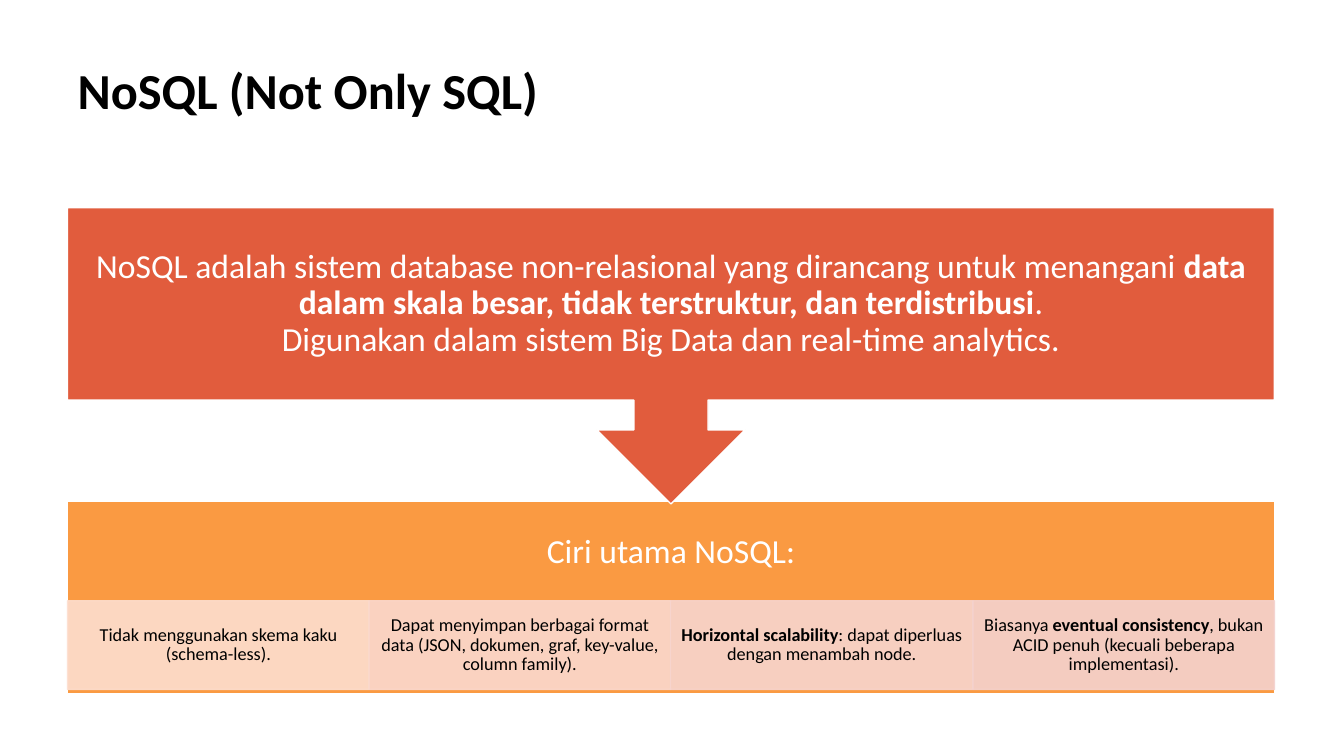
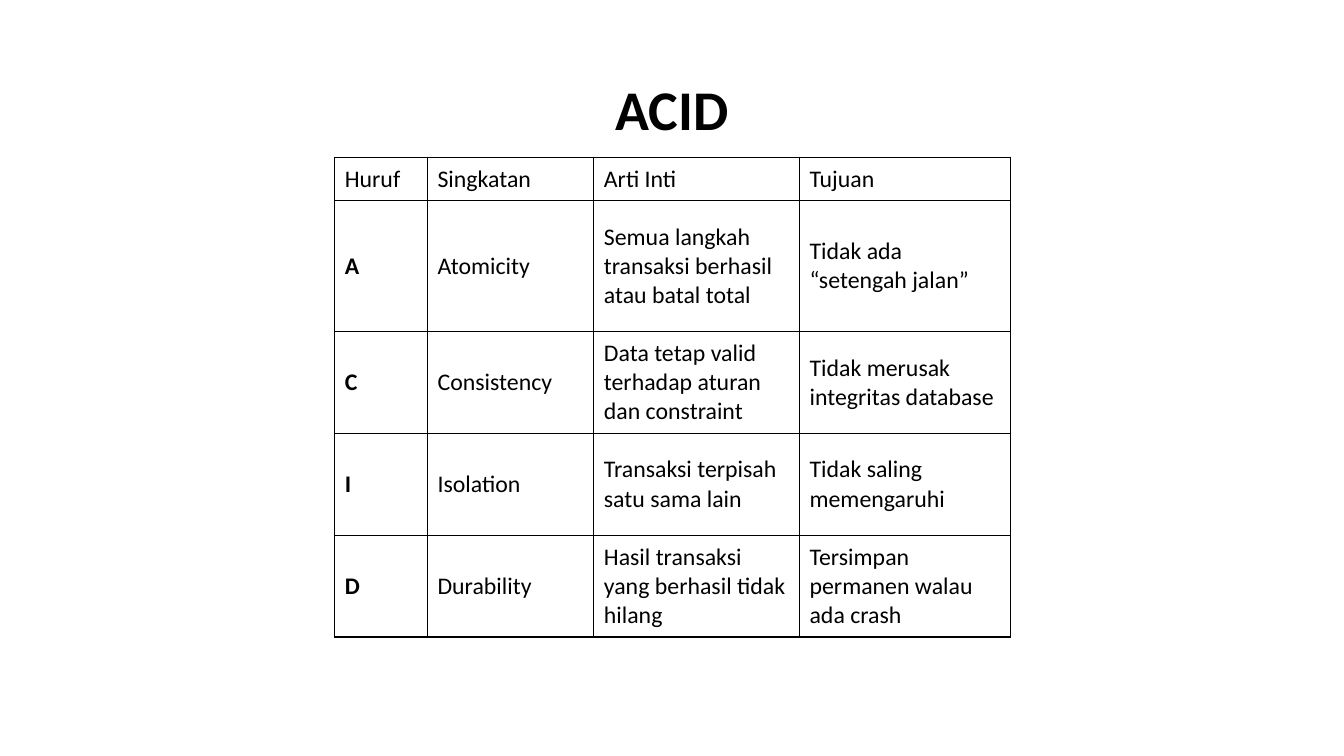
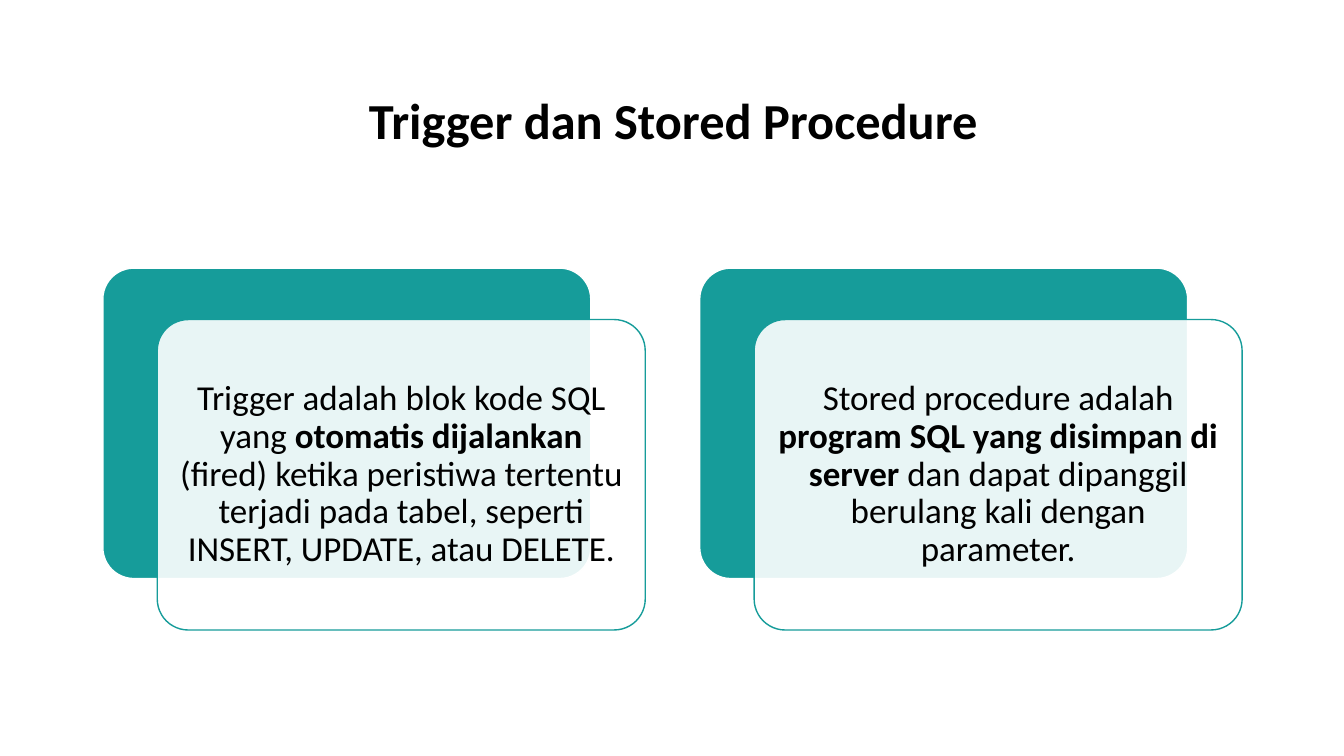
from dataclasses import dataclass
from itertools import accumulate

from lxml.etree import SubElement
from pptx import Presentation
from pptx.dml.color import RGBColor
from pptx.enum.shapes import MSO_SHAPE
from pptx.enum.text import MSO_ANCHOR, MSO_AUTO_SIZE, PP_ALIGN
from pptx.oxml.ns import qn
from pptx.util import Emu, Pt


@dataclass(frozen=True)
class Theme:
    font: str = "Calibri"
    ink: str = "000000"
    paper: str = "FFFFFF"
    red: str = "E15C3D"
    orange: str = "FA9A42"
    teal: str = "169C9A"
    tints: tuple = ("FDDECF", "FAD9CE", "F7D5CE", "F4D2CE")
    title: int = 36
    big_title: int = 40
    card: int = 25
    lead: int = 24
    table: int = 17
    small: int = 13


T = Theme()
LEFT, WIDTH = 67, 1197  # content column, 100 px to the inch

FEATURES = (
    "Tidak menggunakan skema kaku (schema-less).",
    "Dapat menyimpan berbagai format data (JSON, dokumen, graf, key-value, column family).",
    "**Horizontal scalability**: dapat diperluas dengan menambah node.",
    "Biasanya **eventual consistency**, bukan ACID penuh (kecuali beberapa implementasi).",
)
ACID_ROWS = (
    ("Huruf", "Singkatan", "Arti Inti", "Tujuan"),
    ("**A**", "Atomicity", "Semua langkah transaksi berhasil atau batal total",
     "Tidak ada “setengah jalan”"),
    ("**C**", "Consistency", "Data tetap valid terhadap aturan dan constraint",
     "Tidak merusak integritas database"),
    ("**I**", "Isolation", "Transaksi terpisah satu sama lain",
     "Tidak saling memengaruhi"),
    ("**D**", "Durability", "Hasil transaksi yang berhasil tidak hilang",
     "Tersimpan permanen walau ada crash"),
)
CARDS = (
    "Trigger adalah blok kode SQL yang **otomatis dijalankan** (fired) ketika "
    "peristiwa tertentu terjadi pada tabel, seperti INSERT, UPDATE, atau DELETE.",
    "Stored procedure adalah **program SQL yang disimpan di server** dan dapat "
    "dipanggil berulang kali dengan parameter.",
)


def px(n):
    return Emu(n * 9144)


def rgb(color):
    return RGBColor.from_string(color)


# Text: ** switches bold on and off, a newline breaks the line
def write(tf, text, size, color=T.ink, align=PP_ALIGN.LEFT, spacing=0.9, bold=False):
    p = tf.paragraphs[0]
    p.alignment, p.line_spacing = align, spacing
    for i, part in enumerate(text.split("**")):
        for j, line in enumerate(part.split("\n")):
            if j:
                p.add_line_break()
            if line:
                r = p.add_run()
                r.text = line
                r.font.name, r.font.size = T.font, Pt(size)
                r.font.bold = bold or i % 2 == 1
                r.font.color.rgb = rgb(color)


def set_margins(target, x, y, bottom=None):
    target.margin_left = target.margin_right = px(x)
    target.margin_top = px(y)
    target.margin_bottom = px(y if bottom is None else bottom)


# Slide with a formatted title placeholder
def add_slide(prs, title, box, size=T.title, align=PP_ALIGN.CENTER, anchor=MSO_ANCHOR.MIDDLE):
    s = prs.slides.add_slide(prs.slide_layouts[5])
    sp = s.shapes.title
    sp.left, sp.top, sp.width, sp.height = map(px, box)
    tf = sp.text_frame
    tf.word_wrap, tf.auto_size = True, MSO_AUTO_SIZE.NONE
    tf.vertical_anchor = anchor
    set_margins(tf, 10, 5)
    write(tf, title, size, align=align, bold=True)
    return s


# Filled shape with centred text
def add_block(s, kind, box, fill, line=T.paper, text="", size=T.lead, color=T.ink,
              margins=(10, 10), opacity=100):
    sp = s.shapes.add_shape(kind, *map(px, box))
    sp.shadow.inherit = False
    sp.fill.solid()
    sp.fill.fore_color.rgb = rgb(fill)
    sp.line.color.rgb = rgb(line)
    sp.line.width = Pt(1)
    if opacity < 100:
        for clr in sp._element.spPr.iter(qn("a:srgbClr")):
            if clr.get("val") == fill:
                SubElement(clr, qn("a:alpha"), val=str(opacity * 1000))
    if text:
        tf = sp.text_frame
        tf.word_wrap, tf.vertical_anchor = True, MSO_ANCHOR.MIDDLE
        set_margins(tf, *margins)
        write(tf, text, size, color, PP_ALIGN.CENTER)
    return sp


def add_card(s, x, y, text):
    w, h = 484, 308
    back = add_block(s, MSO_SHAPE.ROUNDED_RECTANGLE, (x, y, w, h), T.teal)
    front = add_block(s, MSO_SHAPE.ROUNDED_RECTANGLE, (x + 54, y + 51, w, h), T.paper,
                      T.teal, text, T.card, opacity=90)
    for sp in (back, front):
        sp.adjustments[0] = 0.1


# Table with thin borders and no fill
def set_borders(cell):
    tc_pr = cell._tc.get_or_add_tcPr()
    for side in ("lnL", "lnR", "lnT", "lnB"):
        ln = SubElement(tc_pr, qn(f"a:{side}"), w=str(Pt(1)))
        SubElement(SubElement(ln, qn("a:solidFill")), qn("a:srgbClr"), val=T.ink)


def add_grid(s, x, y, widths, heights, rows):
    table = s.shapes.add_table(len(heights), len(widths), px(x), px(y),
                               px(sum(widths)), px(sum(heights))).table
    table.first_row = table.horz_banding = False
    for column, w in zip(table.columns, widths):
        column.width = px(w)
    for row, h, texts in zip(table.rows, heights, rows):
        row.height = px(h)
        for cell, text in zip(row.cells, texts):
            set_borders(cell)
            cell.fill.background()
            cell.vertical_anchor = MSO_ANCHOR.MIDDLE
            set_margins(cell, 10, 5)
            write(cell.text_frame, text, T.table, spacing=1.0)


def nosql_slide(prs):
    s = add_slide(prs, "NoSQL (Not Only SQL)", (LEFT, 60, WIDTH, 124),
                  align=PP_ALIGN.LEFT, anchor=MSO_ANCHOR.TOP)
    # Features band; its heading sits above the row of cells
    cell_h = 88
    add_block(s, MSO_SHAPE.RECTANGLE, (LEFT, 497, WIDTH, 191), T.orange,
              text="Ciri utama NoSQL:", color=T.paper, margins=(19, 19, 19 + cell_h))
    widths = (299, 299, 300, 299)
    lefts = accumulate(widths, initial=LEFT)
    for x, w, tint, text in zip(lefts, widths, T.tints, FEATURES):
        add_block(s, MSO_SHAPE.RECTANGLE, (x, 596, w, cell_h), tint, tint, text,
                  T.small, margins=(10, 2), opacity=90)
    # Definition pointing down to the features
    add_block(s, MSO_SHAPE.DOWN_ARROW_CALLOUT, (LEFT, 206, WIDTH, 294), T.red,
              text="NoSQL adalah sistem database non-relasional yang dirancang untuk "
                   "menangani **data dalam skala besar, tidak terstruktur, dan "
                   "terdistribusi**.\nDigunakan dalam sistem Big Data dan real-time analytics.",
              color=T.paper, margins=(19, 19))


def acid_slide(prs):
    s = add_slide(prs, "ACID", (307, 39, 719, 107), T.big_title, anchor=MSO_ANCHOR.BOTTOM)
    add_grid(s, 332, 156, (92, 165, 204, 209), (43, 130, 101, 101, 101), ACID_ROWS)


def procedure_slide(prs):
    s = add_slide(prs, "Trigger dan Stored Procedure", (167, 60, 1002, 124))
    for i, text in enumerate(CARDS):
        add_card(s, 102 + i * 592, 266, text)


def main():
    prs = Presentation()
    prs.slide_width, prs.slide_height = px(1333), px(750)
    nosql_slide(prs)
    acid_slide(prs)
    procedure_slide(prs)
    prs.save("out.pptx")


if __name__ == "__main__":
    main()
